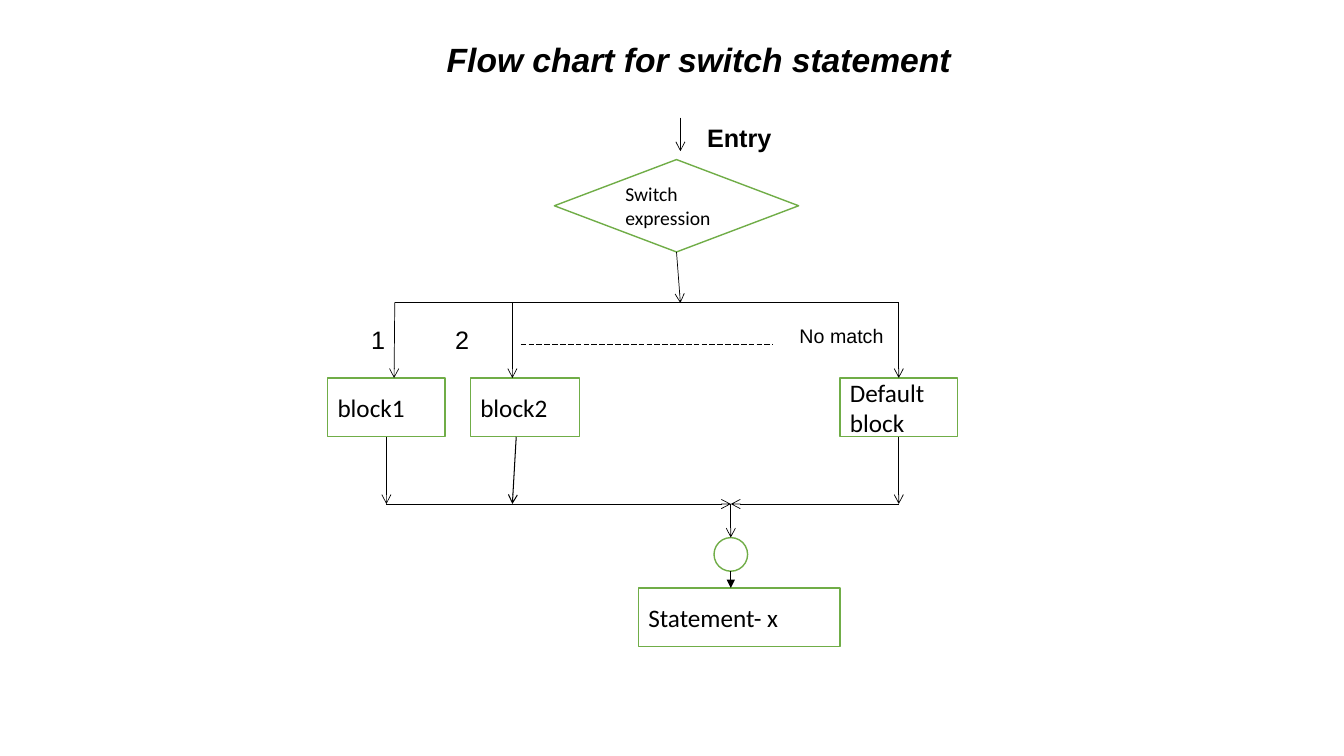
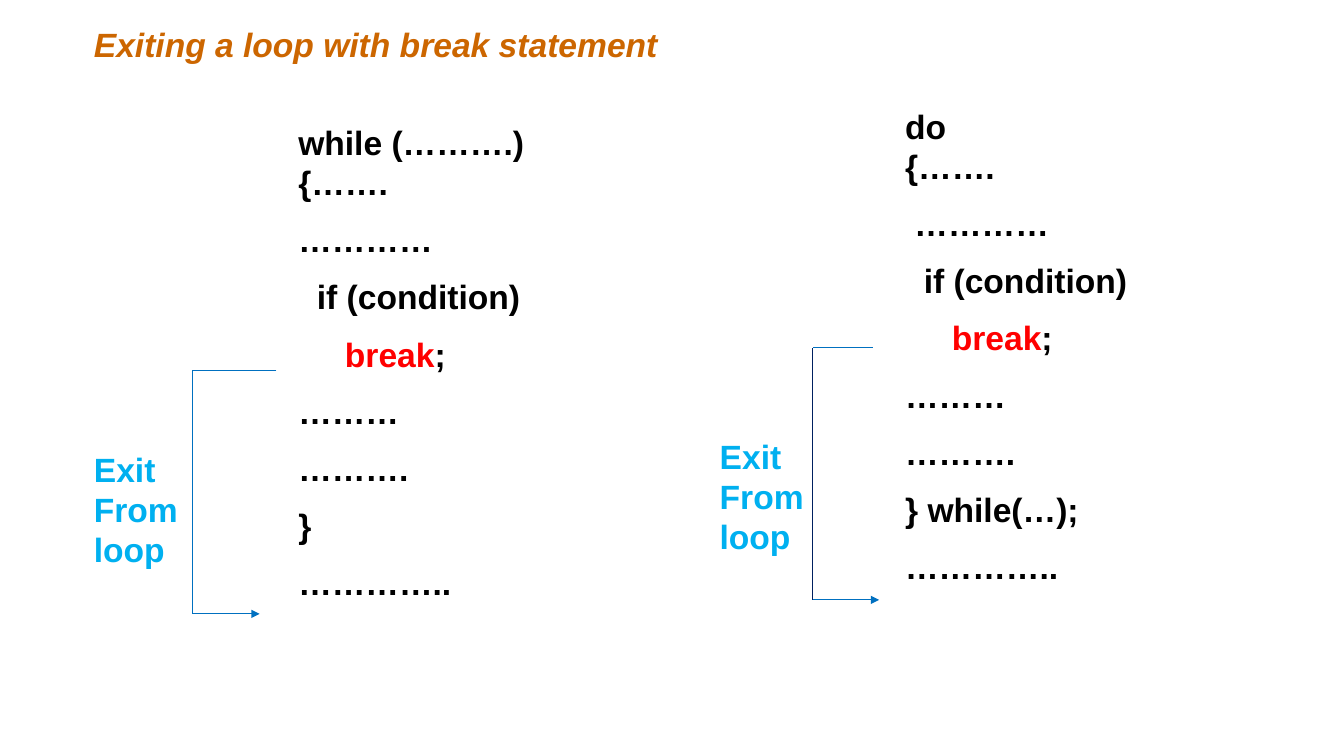
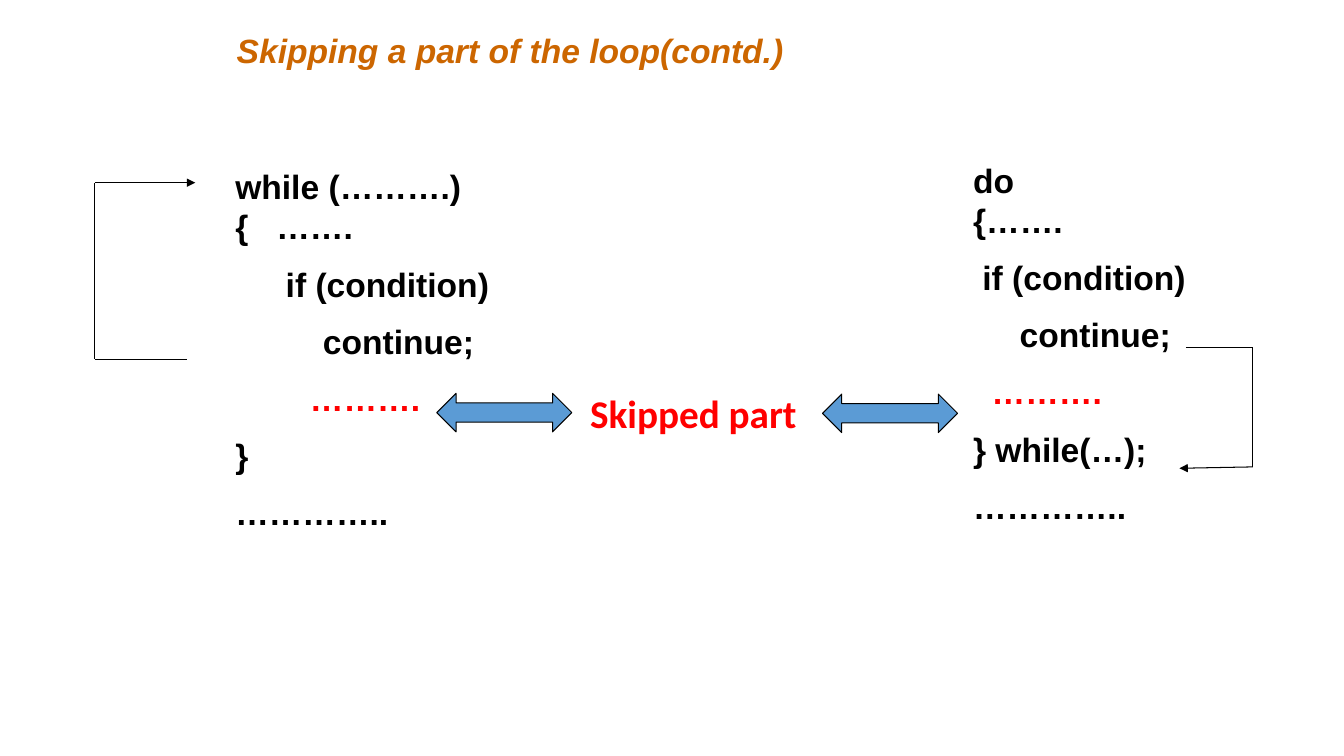
"""Build three slides on switch, break and continue in C."""
import pptx
import pptx.util
import pptx.dml.color
import pptx.enum.dml
import pptx.enum.shapes
import pptx.enum.text
import lxml.etree

Pt = pptx.util.Pt
RGBColor = pptx.dml.color.RGBColor
SHAPE = pptx.enum.shapes.MSO_SHAPE
ANCHOR = pptx.enum.text.MSO_ANCHOR
FIT = pptx.enum.text.MSO_AUTO_SIZE
DASH = pptx.enum.dml.MSO_LINE

BLACK = RGBColor(0x00, 0x00, 0x00)
WHITE = RGBColor(0xFF, 0xFF, 0xFF)
GREEN = RGBColor(0x70, 0xAD, 0x47)
ORANGE = RGBColor(0xCC, 0x66, 0x00)
RED = RGBColor(0xFF, 0x00, 0x00)
BLUE = RGBColor(0x00, 0x70, 0xC0)
NAVY = RGBColor(0x00, 0x20, 0x60)
SKY = RGBColor(0x00, 0xB0, 0xF0)
STEEL = RGBColor(0x5B, 0x9B, 0xD5)

DRAWING = "http://schemas.openxmlformats.org/drawingml/2006/main"
CODE_GAP = 12

FLOW_TITLE = ("Flow chart for switch statement", (312, 24, 414, 36), BLACK)
FLOW_NODES = {
    "switch": ("Switch expression", SHAPE.FLOWCHART_DECISION, (396, 114, 174.5, 66), 14),
    "block1": ("block1", SHAPE.RECTANGLE, (234, 270, 84, 42), 18),
    "block2": ("block2", SHAPE.RECTANGLE, (336, 270, 78, 42), 18),
    "default": ("Default\nblock", SHAPE.RECTANGLE, (600, 270, 84, 42), 18),
    "join": ("", SHAPE.FLOWCHART_CONNECTOR, (510, 384, 24, 24), 18),
    "next": ("Statement- x", SHAPE.RECTANGLE, (456, 420, 144, 42), 18),
}
FLOW_LABELS = [
    ("Entry", (498, 84, 60.5, 29), 18, True),
    ("1", (258, 228, 24.5, 29), 18, False),
    ("2", (318, 228, 24.5, 29), 18, False),
    ("No match", (564, 228, 75, 24.5), 14, False),
]
FLOW_LINES = [
    ((486, 84), (486, 108), "arrow", 0.5),
    ((282, 216), (642, 216), None, 0.5),
    ((282, 216), (281.5, 270), "arrow", 0.5),
    ((366, 216), (366, 270), "arrow", 0.5),
    ((276, 312), (276, 360), "arrow", 0.5),
    ((368.75, 312), (366, 360), "arrow", 0.75),
    ((276, 360), (522, 360), "arrow", 0.5),
    ((642, 360), (522, 360), "arrow", 0.5),
    ((522, 408), (522, 420), "triangle", 0.75),
]
FLOW_JOINED = [
    ((483.25, 180), (486, 216.5), ("switch", 2), None),
    ((642, 216), (642, 270), None, ("default", 0)),
    ((642, 312), (642, 360), ("default", 2), None),
    ((522, 360), (522, 384), None, ("join", 0)),
]
MATCH_DOTS = ((372, 246), (552, 246))

BREAK_TITLE = ("Exiting a loop with break statement", (60, 13.5, 678, 90), ORANGE)
BREAK_BODY = ["  if (condition)", "     *break*;", "………", "………."]
BREAK_CODES = [
    (["while (……….)", "{…….", "…………", *BREAK_BODY, "}", "………….."], (206, 83.5, 210, 385)),
    (["do", "{…….", " …………", *BREAK_BODY, "} while(…);", "………….."], (639.5, 72, 210, 385)),
]
EXIT_TEXT = "Exit\nFrom\nloop"
EXIT_PLACES = [(60, 317, 75, 94.5), (507, 307.5, 75, 94.5)]
BREAK_BRACKETS = [
    ([(197.5, 264.5), (137.5, 264.5), (137.5, 438.5), (185.5, 438.5)], (BLUE, BLUE, BLUE)),
    ([(623.5, 248.5), (580.5, 248.5), (580.5, 428.5), (628, 428.5)], (BLUE, NAVY, BLUE)),
]

SKIP_TITLE = ("Skipping a part of the loop(contd.)", (162, 18, 678, 90), ORANGE)
SKIP_CODES = [
    (["while (……….)", "{   …….", "\tif (condition)", "\t    continue;",
      "        *……….*", "}", "………….."], (161, 115, 432, 284)),
    (["do", "{…….", " if (condition)", "     continue;", "  *……….*",
      "} while(…);", "………….."], (688, 110.5, 210, 284)),
]
SKIP_BRACKETS = [
    [(133.5, 256.5), (67.75, 256.5), (67.75, 130.5), (139.5, 130.5)],
    [(847, 248.25), (895, 248.25), (895, 333.5), (842.5, 334.5)],
]
SKIP_ARROWS = [(587.5, 281.5, 96.5, 27.5), (312, 281, 96.5, 27.5)]
SKIP_LABEL = ("Skipped part", (414.5, 274.5, 164, 41))


def style_font(font, size, color, face="Arial", bold=False, italic=False):
    font.name, font.size = face, Pt(size)
    font.bold, font.italic = bold, italic
    font.color.rgb = color


def add_text(slide, text, box, size, color, wrap=True, **style):
    frame = slide.shapes.add_textbox(*map(Pt, box)).text_frame
    frame.text = text
    frame.word_wrap = wrap
    if not wrap:
        frame.auto_size = FIT.SHAPE_TO_FIT_TEXT
    for paragraph in frame.paragraphs:
        for run in paragraph.runs:
            style_font(run.font, size, color, **style)


def add_title(slide, title):
    text, box, color = title
    add_text(slide, text, box, 24, color, bold=True, italic=True)


def add_code(slide, lines, box):
    frame = slide.shapes.add_textbox(*map(Pt, box)).text_frame
    frame.word_wrap = True
    for number, line in enumerate(lines):
        paragraph = frame.add_paragraph() if number else frame.paragraphs[0]
        if number > 1:
            paragraph.space_before = Pt(CODE_GAP)
        if line.startswith("\t"):
            paragraph.level = 1
        for part, text in enumerate(line.lstrip("\t").split("*")):
            if text:
                run = paragraph.add_run()
                run.text = text
                style_font(run.font, 24, RED if part % 2 else BLACK, bold=True)


def add_preset(slide, kind, box, fill, outline, width):
    shape = slide.shapes.add_shape(kind, *map(Pt, box))
    shape.shadow.inherit = False
    shape.fill.solid()
    shape.fill.fore_color.rgb = fill
    shape.line.color.rgb = outline
    shape.line.width = Pt(width)
    return shape


def add_node(slide, text, kind, box, size):
    node = add_preset(slide, kind, box, WHITE, GREEN, 1)
    if text:
        frame = node.text_frame
        frame.text = text
        frame.vertical_anchor = ANCHOR.MIDDLE
        for paragraph in frame.paragraphs:
            paragraph.alignment = pptx.enum.text.PP_ALIGN.LEFT
            style_font(paragraph.runs[0].font, size, BLACK, face="Calibri")
    return node


def add_line(slide, start, end, head=None, width=0.75, color=BLACK):
    line = slide.shapes.add_connector(
        pptx.enum.shapes.MSO_CONNECTOR.STRAIGHT, *map(Pt, (*start, *end)))
    line.line.color.rgb = color
    line.line.width = Pt(width)
    if head:
        tail = lxml.etree.SubElement(line.line._get_or_add_ln(), f"{{{DRAWING}}}tailEnd")
        tail.set("type", head)
    lxml.etree.SubElement(line._element.spPr, f"{{{DRAWING}}}effectLst")
    return line


def add_bracket(slide, points, colors=(BLACK, BLACK, BLACK)):
    heads = (None, None, "triangle")
    for start, end, head, color in zip(points, points[1:], heads, colors):
        add_line(slide, start, end, head, color=color)


def build_flow_chart(slide):
    nodes = {key: add_node(slide, *node) for key, node in FLOW_NODES.items()}
    for line in FLOW_LINES:
        add_line(slide, *line)
    for start, end, source, target in FLOW_JOINED:
        arrow = add_line(slide, start, end, "arrow", 0.5)
        if source:
            arrow.begin_connect(nodes[source[0]], source[1])
        if target:
            arrow.end_connect(nodes[target[0]], target[1])
    add_line(slide, *MATCH_DOTS, width=0.5).line.dash_style = DASH.LONG_DASH
    for text, box, size, bold in FLOW_LABELS:
        add_text(slide, text, box, size, BLACK, wrap=False, bold=bold)
    add_title(slide, FLOW_TITLE)


def build_break(slide):
    for code in BREAK_CODES:
        add_code(slide, *code)
    for bracket in BREAK_BRACKETS:
        add_bracket(slide, *bracket)
    for place in EXIT_PLACES:
        add_text(slide, EXIT_TEXT, place, 24, SKY, wrap=False, bold=True)
    add_title(slide, BREAK_TITLE)


def build_continue(slide):
    for code in SKIP_CODES:
        add_code(slide, *code)
    for points in SKIP_BRACKETS:
        add_bracket(slide, points)
    add_title(slide, SKIP_TITLE)
    for box in SKIP_ARROWS:
        add_preset(slide, SHAPE.LEFT_RIGHT_ARROW, box, STEEL, BLACK, 0.75)
    add_text(slide, *SKIP_LABEL, 28, RED, face="Calibri", bold=True)


def main():
    deck = pptx.Presentation()
    deck.slide_width, deck.slide_height = Pt(960), Pt(540)
    for build in (build_flow_chart, build_break, build_continue):
        build(deck.slides.add_slide(deck.slide_layouts[6]))
    deck.save("out.pptx")


if __name__ == "__main__":
    main()
